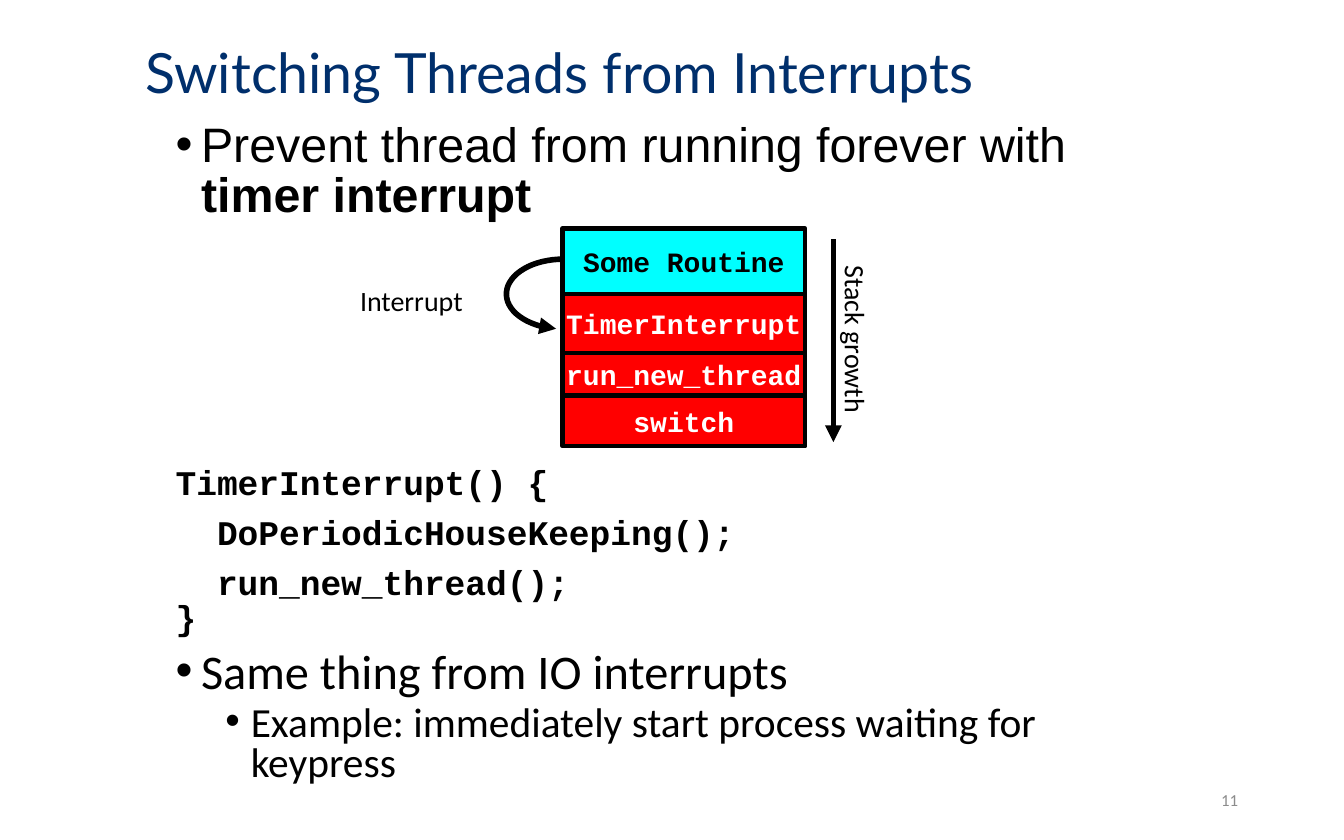
"""Builds the slide on switching threads from interrupts."""
import math

import pptx
import pptx.dml.color
import pptx.enum.shapes
import pptx.enum.text
import pptx.oxml.ns
import pptx.util
from lxml import etree

Cm, Pt = pptx.util.Cm, pptx.util.Pt
RGBColor = pptx.dml.color.RGBColor
ALIGN = pptx.enum.text.PP_ALIGN
ANCHOR = pptx.enum.text.MSO_ANCHOR
qn = pptx.oxml.ns.qn

NAVY = RGBColor(0x00, 0x2F, 0x6C)
BLACK = RGBColor(0x00, 0x00, 0x00)
WHITE = RGBColor(0xFF, 0xFF, 0xFF)
CYAN = RGBColor(0x00, 0xFF, 0xFF)
RED = RGBColor(0xFF, 0x00, 0x00)
GRAY = RGBColor(0x8C, 0x8C, 0x8C)

TITLE = "Switching Threads from Interrupts"
TITLE_FONT = {"name": "Lato", "size": Pt(29.7)}
POINT = {"name": "Arial", "size": Pt(25.9)}
STRONG = {**POINT, "bold": True}
CODE = {"name": "Courier New", "size": Pt(18.5), "bold": True}
TOPIC = {"name": "Calibri", "size": Pt(25.9)}
DETAIL = {"name": "Calibri", "size": Pt(22.2)}
FRAME = {"name": "Courier New", "size": Pt(15), "bold": True}
LABEL = {"name": "Calibri", "size": Pt(15)}
NUMBER = {"name": "Calibri", "size": Pt(9)}

BULLET_INDENTS = {0: 0.48, 1: 1.42}
BODY_LEFT, BODY_WIDTH = 3.07, 19.05
BODY = [
    (2.21, 2.2, [
        (0, 0.85, 0, [("Prevent thread from running forever with", POINT),
                      ("timer interrupt", STRONG)]),
    ]),
    (8.71, 6.86, [
        (None, 0.86, 0, [("TimerInterrupt() {", CODE)]),
        (None, 0.86, 7.5, [("  DoPeriodicHouseKeeping();", CODE)]),
        (None, 0.86, 7.5, [("  run_new_thread();", CODE), ("}", CODE)]),
        (0, 0.8, 7.5, [("Same thing from IO interrupts", TOPIC)]),
        (1, 0.8, 3.8, [("Example: immediately start process waiting for keypress", DETAIL)]),
    ]),
]

STACK_LEFT, STACK_TOP, STACK_WIDTH = 10.63, 4.32, 4.59
STACK = [
    ("Some Routine", 1.24, CYAN, BLACK),
    ("TimerInterrupt", 1.12, RED, WHITE),
    ("run_new_thread", 0.8, RED, WHITE),
    ("switch", 0.96, RED, WHITE),
]
LABELS = [
    ("Interrupt", (6.53, 5.23, 2.49, 0.89), 0),
    ("Stack growth", (14.5, 5.97, 3.35, 0.89), 90),
]
GROWTH_X, GROWTH_TOP, GROWTH_BOTTOM = 15.75, 4.52, 8.36
ARC_CENTER, ARC_RADII = (10.64, 5.56), (1.07, 0.66)
ARC_START, ARC_END, ARC_STEPS = 90, 263, 32


def set_attrs(obj, values):
    for name, value in values.items():
        setattr(obj, name, value)


def add_run(p, text, font, color):
    r = p.add_run()
    r.text = text
    set_attrs(r.font, font)
    r.font.color.rgb = color


def add_box(s, at, **frame):
    sp = s.shapes.add_textbox(*map(Cm, at))
    set_attrs(sp.text_frame, {"word_wrap": True, **frame})
    return sp


def add_bullet(p, level):
    p.level = level
    pPr = p._p.get_or_add_pPr()
    pPr.set("marL", str(Cm(BULLET_INDENTS[level])))
    pPr.set("indent", str(-Cm(BULLET_INDENTS[0])))
    etree.SubElement(pPr, qn("a:buFont")).set("typeface", "Arial")
    etree.SubElement(pPr, qn("a:buChar")).set("char", "•")


def add_body(s, top, height, paragraphs):
    tf = add_box(s, (BODY_LEFT, top, BODY_WIDTH, height)).text_frame
    for i, (level, spacing, before, lines) in enumerate(paragraphs):
        p = tf.add_paragraph() if i else tf.paragraphs[0]
        set_attrs(p, {"line_spacing": spacing, "space_before": Pt(before)})
        if level is not None:
            add_bullet(p, level)
        for j, (text, font) in enumerate(lines):
            if j:
                p.add_line_break()
            add_run(p, text, font, BLACK)


def style_arrow(sp):
    sp.line.color.rgb = BLACK
    sp.line.width = Pt(3)
    etree.SubElement(sp.line._get_or_add_ln(), qn("a:tailEnd")).set("type", "triangle")


def add_stack(s):
    top = STACK_TOP
    for text, height, fill, color in STACK:
        sp = s.shapes.add_shape(pptx.enum.shapes.MSO_SHAPE.RECTANGLE,
                                *map(Cm, (STACK_LEFT, top, STACK_WIDTH, height)))
        sp.shadow.inherit = False
        sp.fill.solid()
        sp.fill.fore_color.rgb = fill
        sp.line.color.rgb = BLACK
        sp.line.width = Pt(2.25)
        set_attrs(sp.text_frame, {"word_wrap": False, "vertical_anchor": ANCHOR.MIDDLE})
        p = sp.text_frame.paragraphs[0]
        p.alignment = ALIGN.CENTER
        add_run(p, text, FRAME, color)
        top += height


def add_interrupt_arc(s):
    angles = [math.radians(ARC_START + (ARC_END - ARC_START) * i / ARC_STEPS)
              for i in range(ARC_STEPS + 1)]
    points = [(Cm(ARC_CENTER[0] + ARC_RADII[0] * math.cos(a)),
               Cm(ARC_CENTER[1] - ARC_RADII[1] * math.sin(a))) for a in angles]
    builder = s.shapes.build_freeform(*points[0])
    builder.add_line_segments(points[1:], close=False)
    sp = builder.convert_to_shape()
    sp.shadow.inherit = False
    sp.fill.background()
    style_arrow(sp)


def add_growth_arrow(s):
    sp = s.shapes.add_connector(pptx.enum.shapes.MSO_CONNECTOR.STRAIGHT,
                                *map(Cm, (GROWTH_X, GROWTH_TOP, GROWTH_X, GROWTH_BOTTOM)))
    style_arrow(sp)
    etree.SubElement(sp._element.spPr, qn("a:effectLst"))


def main():
    prs = pptx.Presentation()
    set_attrs(prs, {"slide_width": Cm(25.4), "slide_height": Cm(15.88)})
    s = prs.slides.add_slide(prs.slide_layouts[5])

    title = s.shapes.title
    set_attrs(title, {"left": Cm(2.49), "top": Cm(0.64), "width": Cm(17.98), "height": Cm(1.57)})
    set_attrs(title.text_frame, {"auto_size": pptx.enum.text.MSO_AUTO_SIZE.NONE,
                                 "vertical_anchor": ANCHOR.MIDDLE})
    p = title.text_frame.paragraphs[0]
    set_attrs(p, {"alignment": ALIGN.LEFT, "line_spacing": 0.9})
    add_run(p, TITLE, TITLE_FONT, NAVY)

    for top, height, paragraphs in BODY:
        add_body(s, top, height, paragraphs)
    add_stack(s)
    add_interrupt_arc(s)
    for text, at, rotation in LABELS:
        sp = add_box(s, at, word_wrap=False)
        sp.rotation = rotation
        p = sp.text_frame.paragraphs[0]
        p.alignment = ALIGN.CENTER
        add_run(p, text, LABEL, BLACK)
    add_growth_arrow(s)

    sp = add_box(s, (17.93, 14.71, 5.72, 0.84), vertical_anchor=ANCHOR.MIDDLE)
    p = sp.text_frame.paragraphs[0]
    p.alignment = ALIGN.RIGHT
    add_run(p, "11", NUMBER, GRAY)
    prs.save("out.pptx")


if __name__ == "__main__":
    main()
